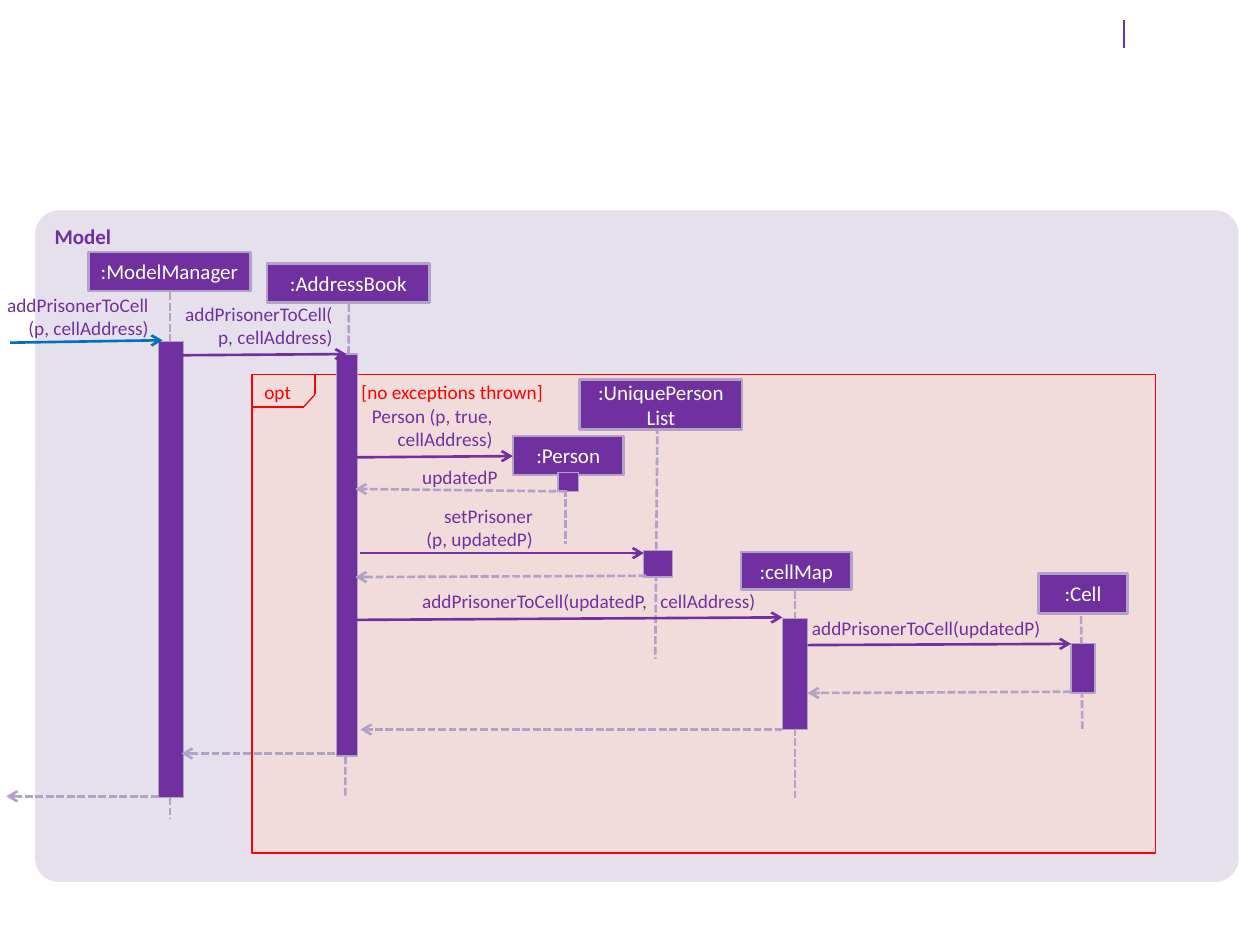
import itertools
import pptx
import pptx.util
import pptx.dml.color
import pptx.enum.dml
import pptx.enum.shapes
import pptx.enum.text
import pptx.oxml
import pptx.oxml.ns
from pptx.util import Inches

ALIGN = pptx.enum.text.PP_ALIGN
ANCHOR = pptx.enum.text.MSO_ANCHOR
SHAPE = pptx.enum.shapes.MSO_SHAPE

THEME = dict(font="Calibri", head=12, label=11, thin=0.75, thick=1.5,
             purple="7030A0", lilac="B3A2C7", panel="E6E0EC", pink="F2DCDB",
             red="FF0000", blue="0070C0", white="FFFFFF")

MODEL = ("Model", (0.28, 1.67, 9.55, 5.33))
OPT = ("opt\t[no exceptions thrown]", (2, 2.97, 7.17, 3.8))
OPT_CORNER = [(2.5, 2.97), (2.5, 3.13), (2.41, 3.23), (2, 3.23)]
STRAY_TICK = [(8.92, 0.16), (8.92, 0.38)]

PARTICIPANTS = [
    dict(names=[":ModelManager"], head=(0.7, 2, 1.29, 0.31),
         life=[(1.35, 2.32), (1.35, 6.5)], bar=(1.26, 2.71, 0.2, 3.62)),
    dict(names=[":AddressBook"], head=(2.12, 2.09, 1.29, 0.31),
         life=[(2.77, 2.33), (2.74, 6.33)], bar=(2.67, 2.81, 0.17, 3.19)),
    dict(names=[":Person"], head=(4.07, 3.46, 0.88, 0.31),
         life=[(4.49, 3.88), (4.49, 4.32)], bar=(4.43, 3.75, 0.16, 0.15)),
    dict(names=[":UniquePerson", "List"], head=(4.6, 3.01, 1.29, 0.4),
         life=[(5.22, 3.13), (5.2, 5.23)], bar=(5.11, 4.37, 0.23, 0.21)),
    dict(names=[":cellMap"], head=(5.88, 4.38, 0.88, 0.3),
         life=[(6.31, 4.69), (6.31, 6.33)], bar=(6.21, 4.91, 0.2, 0.88)),
    dict(names=[":Cell"], head=(8.24, 4.55, 0.71, 0.32),
         life=[(8.58, 4.89), (8.59, 5.79)], bar=(8.5, 5.11, 0.19, 0.39)),
]

CALLS = [
    ((0.08, 2.72), (1.29, 2.7), "blue"),
    ((1.41, 2.82), (2.75, 2.81), "purple"),
    ((2.79, 3.63), (4.07, 3.62), "purple"),
    ((2.86, 4.39), (5.11, 4.39), "purple"),
    ((2.83, 4.92), (6.21, 4.9), "purple"),
    ((6.41, 5.12), (8.5, 5.11), "purple"),
]

RETURNS = [
    ((4.5, 3.9), (2.82, 3.88)),
    ((5.13, 4.57), (2.82, 4.58)),
    ((8.5, 5.49), (6.41, 5.5)),
    ((6.21, 5.79), (2.86, 5.79)),
    ((2.66, 5.98), (1.44, 5.98)),
    ((1.26, 6.32), (0.05, 6.32)),
]

LABELS = [
    (["addPrisonerToCell", "(p, cellAddress)"], (-0.07, 2.33, 1.25, 0.37)),
    (["addPrisonerToCell(p, cellAddress)"], (1.47, 2.4, 1.17, 0.37)),
    (["Person (p, true,", "cellAddress)"], (2.82, 3.21, 1.09, 0.37)),
    (["updatedP"], (2.86, 3.69, 1.09, 0.19)),
    (["setPrisoner", "(p, updatedP)"], (2.98, 4, 1.25, 0.37)),
    (["addPrisonerToCell(updatedP)"], (6.31, 4.89, 1.95, 0.19)),
]
CELL_MAP_LABEL = ("addPrisonerToCell(updatedP,\tcellAddress)", (3.35, 4.68, 2.65, 0.19))

deck = pptx.Presentation()
deck.slide_width, deck.slide_height = Inches(10), Inches(7.5)
slide = deck.slides.add_slide(deck.slide_layouts[6])


def rgb(name):
    return pptx.dml.color.RGBColor.from_string(THEME[name])


def xml_child(parent, tag, **attributes):
    child = parent.makeelement(pptx.oxml.ns.qn(tag), attributes)
    parent.append(child)
    return child


def write(holder, paragraphs, size="label", color="purple", bold=False,
          align=ALIGN.LEFT, anchor=ANCHOR.TOP, inset=(0, 0), tab=None):
    frame = holder.text_frame
    frame.word_wrap = True
    frame.vertical_anchor = anchor
    frame.margin_left = frame.margin_right = Inches(inset[0])
    frame.margin_top = frame.margin_bottom = Inches(inset[1])
    for index, text in enumerate(paragraphs):
        paragraph = frame.add_paragraph() if index else frame.paragraphs[0]
        paragraph.alignment = align
        if tab:
            stops = xml_child(paragraph._p.get_or_add_pPr(), "a:tabLst")
            xml_child(stops, "a:tab", pos=str(Inches(tab)), algn="l")
        run = paragraph.add_run()
        run.text = text
        run.font.name, run.font.bold = THEME["font"], bold
        run.font.size = pptx.util.Pt(THEME[size])
        run.font.color.rgb = rgb(color)


def box(place, fill, line=None, weight="thin", kind=SHAPE.RECTANGLE):
    shape = slide.shapes.add_shape(kind, *map(Inches, place))
    shape.shadow.inherit = False
    shape.fill.solid()
    shape.fill.fore_color.rgb = rgb(fill)
    if line:
        shape.line.color.rgb = rgb(line)
        shape.line.width = pptx.util.Pt(THEME[weight])
    else:
        shape.line.fill.background()
    return shape


def connect(start, end, color, weight="thick", dashed=False, arrow=False):
    line = slide.shapes.add_connector(pptx.enum.shapes.MSO_CONNECTOR.STRAIGHT,
                                      *map(Inches, start + end))
    line.line.color.rgb = rgb(color)
    line.line.width = pptx.util.Pt(THEME[weight])
    if dashed:
        line.line.dash_style = pptx.enum.dml.MSO_LINE.SQUARE_DOT
    if arrow:
        xml_child(line.line._get_or_add_ln(), "a:tailEnd", type="arrow")
    xml_child(line._element.spPr, "a:effectLst")


def label(paragraphs, place, **text_format):
    write(slide.shapes.add_textbox(*map(Inches, place)), paragraphs, **text_format)


title, place = MODEL
model = box(place, "panel", kind=SHAPE.ROUNDED_RECTANGLE)
model.adjustments[0] = 0.035
write(model, [title], size="head", bold=True, inset=(0.1, 0.05))

guard, place = OPT
write(box(place, "pink", "red"), [guard], color="red", inset=(0.1, 0.05), tab=0.77)
for start, end in itertools.pairwise(OPT_CORNER):
    connect(start, end, "red", weight="thin")
connect(*STRAY_TICK, "purple", weight="thin")

for participant in PARTICIPANTS:
    connect(*participant["life"], "lilac", dashed=True)
    write(box(participant["head"], "purple", "lilac", "thick"), participant["names"],
          size="head", color="white", align=ALIGN.CENTER, anchor=ANCHOR.MIDDLE)
    box(participant["bar"], "purple", "lilac")

for start, end, color in CALLS:
    connect(start, end, color, arrow=True)
for start, end in RETURNS:
    connect(start, end, "lilac", dashed=True, arrow=True)
for paragraphs, place in LABELS:
    label(paragraphs, place, align=ALIGN.RIGHT)
text, place = CELL_MAP_LABEL
label([text], place, tab=1.89)

deck.save("out.pptx")
